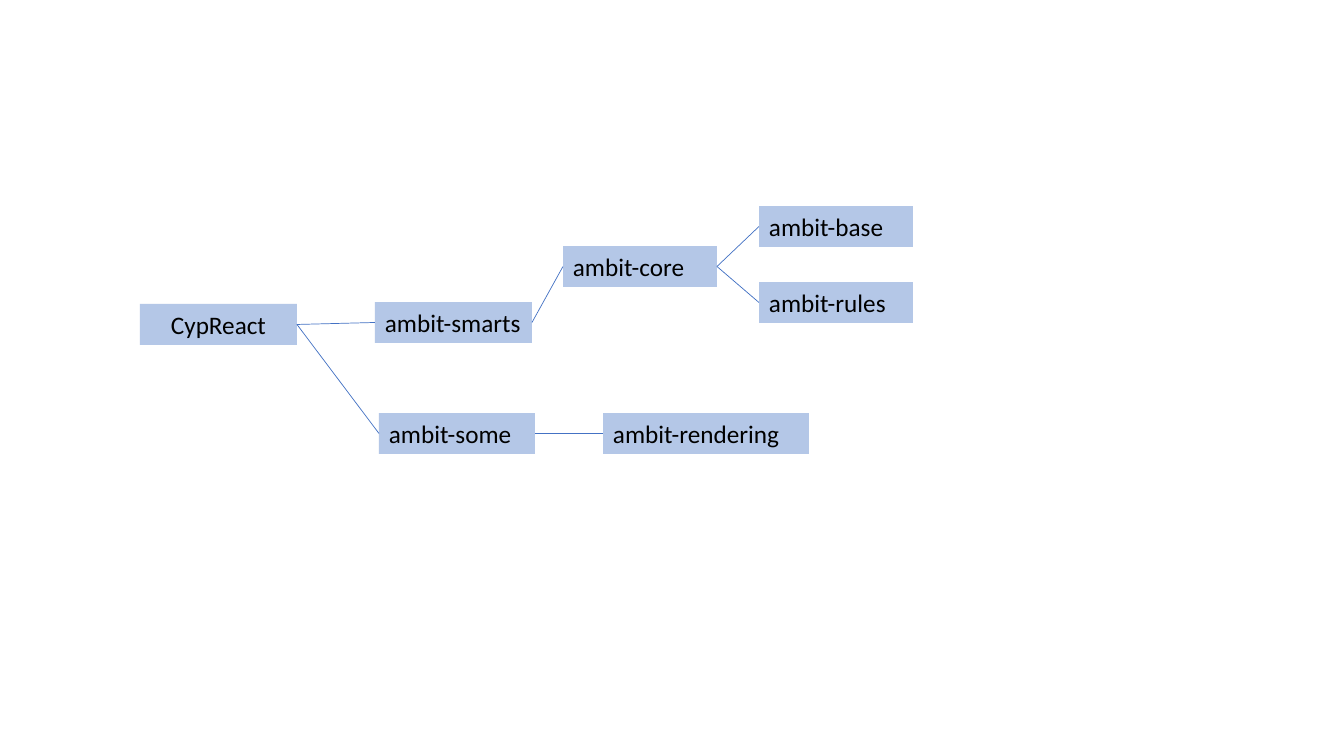
from pptx import Presentation, util as u
from pptx.dml.color import RGBColor as Rgb
from pptx.enum import shapes, text
from pptx.oxml.ns import qn
from lxml import etree

theme = {
    "box": Rgb.from_string("B4C7E7"),
    "line": Rgb.from_string("4472C4"),
    "ink": Rgb.from_string("000000"),
    "font": "Calibri",
    "size": u.Pt(18),
    "rule": u.Pt(0.5),
}
SCALE = 914400 / 100.8


def px(n):
    return u.Emu(round(n * SCALE))


# Slide
deck = Presentation()
deck.slide_width, deck.slide_height = px(1344), px(756)
slide = deck.slides.add_slide(deck.slide_layouts[6])

# Modules: name, left, top, width, alignment
left, mid = text.PP_ALIGN.LEFT, text.PP_ALIGN.CENTER
mods = [
    ("CypReact", 140, 304, 157, mid),
    ("ambit-smarts", 375, 302, 157, left),
    ("ambit-some", 379, 413, 156, left),
    ("ambit-core", 563, 246, 154, left),
    ("ambit-rendering", 603, 413, 206, left),
    ("ambit-base", 759, 206, 154, left),
    ("ambit-rules", 759, 282, 154, left),
]
nodes = {}
for name, x, y, wide, align in mods:
    box = slide.shapes.add_shape(
        shapes.MSO_SHAPE.RECTANGLE, px(x), px(y), px(wide), px(41))
    box.shadow.inherit = False
    box.fill.solid()
    box.fill.fore_color.rgb = theme["box"]
    box.line.fill.background()
    frame = box.text_frame
    frame.word_wrap = True
    frame.auto_size = text.MSO_AUTO_SIZE.SHAPE_TO_FIT_TEXT
    frame.vertical_anchor = text.MSO_ANCHOR.TOP
    para = frame.paragraphs[0]
    para.alignment = align
    run = para.add_run()
    run.text = name
    run.font.name = theme["font"]
    run.font.size = theme["size"]
    run.font.color.rgb = theme["ink"]
    nodes[name] = box

# Links run from the right side of a module to the left side of the next
links = [
    ("CypReact", "ambit-smarts"),
    ("CypReact", "ambit-some"),
    ("ambit-smarts", "ambit-core"),
    ("ambit-some", "ambit-rendering"),
    ("ambit-core", "ambit-base"),
    ("ambit-core", "ambit-rules"),
]
for start, end in links:
    link = slide.shapes.add_connector(shapes.MSO_CONNECTOR.STRAIGHT, 0, 0, 0, 0)
    link.begin_connect(nodes[start], 3)
    link.end_connect(nodes[end], 1)
    link.line.color.rgb = theme["line"]
    link.line.width = theme["rule"]
    etree.SubElement(link._element.spPr, qn("a:effectLst"))

deck.save("out.pptx")
